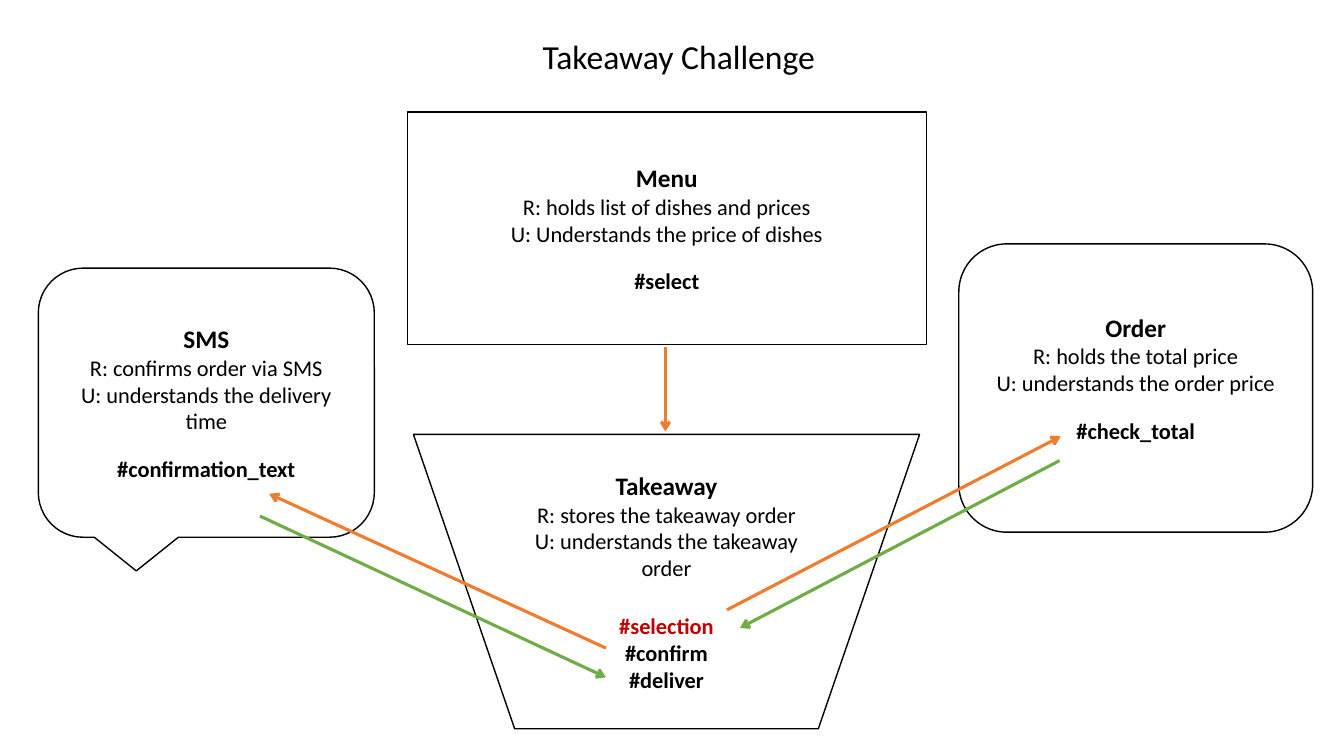
from lxml import etree
from pptx import Presentation
from pptx.dml.color import RGBColor
from pptx.enum.shapes import MSO_CONNECTOR, MSO_SHAPE
from pptx.enum.text import MSO_ANCHOR, PP_ALIGN
from pptx.oxml.ns import qn
from pptx.util import Inches, Pt

CENTER, MIDDLE = PP_ALIGN.CENTER, MSO_ANCHOR.MIDDLE
STRAIGHT = MSO_CONNECTOR.STRAIGHT
RECTANGLE, ROUNDED = MSO_SHAPE.RECTANGLE, MSO_SHAPE.ROUNDED_RECTANGLE
CALLOUT = MSO_SHAPE.ROUNDED_RECTANGULAR_CALLOUT
FUNNEL = MSO_SHAPE.FLOWCHART_MANUAL_OPERATION
BLACK, WHITE, RED = "000000", "FFFFFF", "C00000"
REQUEST, REPLY = "ED7D31", "70AD47"

prs = Presentation()
prs.slide_width, prs.slide_height = Inches(13.33), Inches(7.5)
COLUMN, ROW = prs.slide_width / 100, prs.slide_height / 100
slide = prs.slides.add_slide(prs.slide_layouts[5])


def grid(*cells):
    """Turn alternating columns and rows into lengths."""
    return [round(n * (ROW if i % 2 else COLUMN)) for i, n in enumerate(cells)]


def style(paragraph, size, bold=False, color=BLACK):
    paragraph.alignment = CENTER
    font = paragraph.runs[0].font
    font.name, font.size, font.bold = "Calibri", Pt(size), bold
    font.color.rgb = RGBColor.from_string(color)


# Heading
heading = slide.shapes.title
heading.left, heading.top, heading.width, heading.height = grid(13, 4, 75, 6.8)
heading.text_frame.text = "Takeaway Challenge"
heading.text_frame.vertical_anchor = MIDDLE
style(heading.text_frame.paragraphs[0], 24)

# Classes: outline, place, name, duties, methods, gap above methods, bottom inset
classes = [
    (RECTANGLE, (30.3, 14.8, 38.63, 30.8), "Menu",
     ["R: holds list of dishes and prices", "U: Understands the price of dishes"],
     ["#select"], 14.6, 0.05),
    (ROUNDED, (71.34, 32.27, 26.33, 38.13), "Order",
     ["R: holds the total price", "U: understands the order price"],
     ["#check_total"], 14.6, 0.25),
    (CALLOUT, (2.85, 35.47, 25, 35.6), "SMS",
     ["R: confirms order via SMS", "U: understands the delivery time"],
     ["#confirmation_text"], 14.6, 0.05),
    (FUNNEL, (30.76, 57.47, 37.66, 38.93), "Takeaway",
     ["R: stores the takeaway order", "U: understands the takeaway order"],
     ["#selection", "#confirm", "#deliver"], 22, 0.05),
]
for outline, place, name, duties, methods, gap, inset in classes:
    card = slide.shapes.add_shape(outline, *grid(*place))
    card.shadow.inherit = False
    card.fill.solid()
    card.fill.fore_color.rgb = RGBColor.from_string(WHITE)
    card.line.color.rgb = RGBColor.from_string(BLACK)
    card.line.width = Pt(1)
    frame = card.text_frame
    frame.word_wrap, frame.vertical_anchor = True, MIDDLE
    frame.margin_bottom = Inches(inset)
    frame.text = "\n".join([name, *duties, *methods])
    title, *details = frame.paragraphs
    style(title, 18, bold=True)
    for detail in details:
        is_method = detail.text.startswith("#")
        style(detail, 16, is_method, RED if detail.text == "#selection" else BLACK)
    details[len(duties)].space_before = Pt(gap)

# Messages between the classes
messages = [
    (REPLY, (19.35, 68.27, 45.09, 89.6)),
    (REQUEST, (45.09, 85.73, 20.03, 65.33)),
    (REQUEST, (54.09, 80.67, 78.92, 57.73)),
    (REPLY, (78.84, 60.93, 55.06, 83.07)),
    (REQUEST, (49.51, 45.87, 49.51, 57.07)),
]
for color, ends in messages:
    message = slide.shapes.add_connector(STRAIGHT, *grid(*ends))
    message.line.color.rgb = RGBColor.from_string(color)
    message.line.width = Pt(2.25)
    etree.SubElement(message.line._get_or_add_ln(), qn("a:tailEnd"), type="arrow")
    etree.SubElement(message._element.spPr, qn("a:effectLst"))

prs.save("out.pptx")
